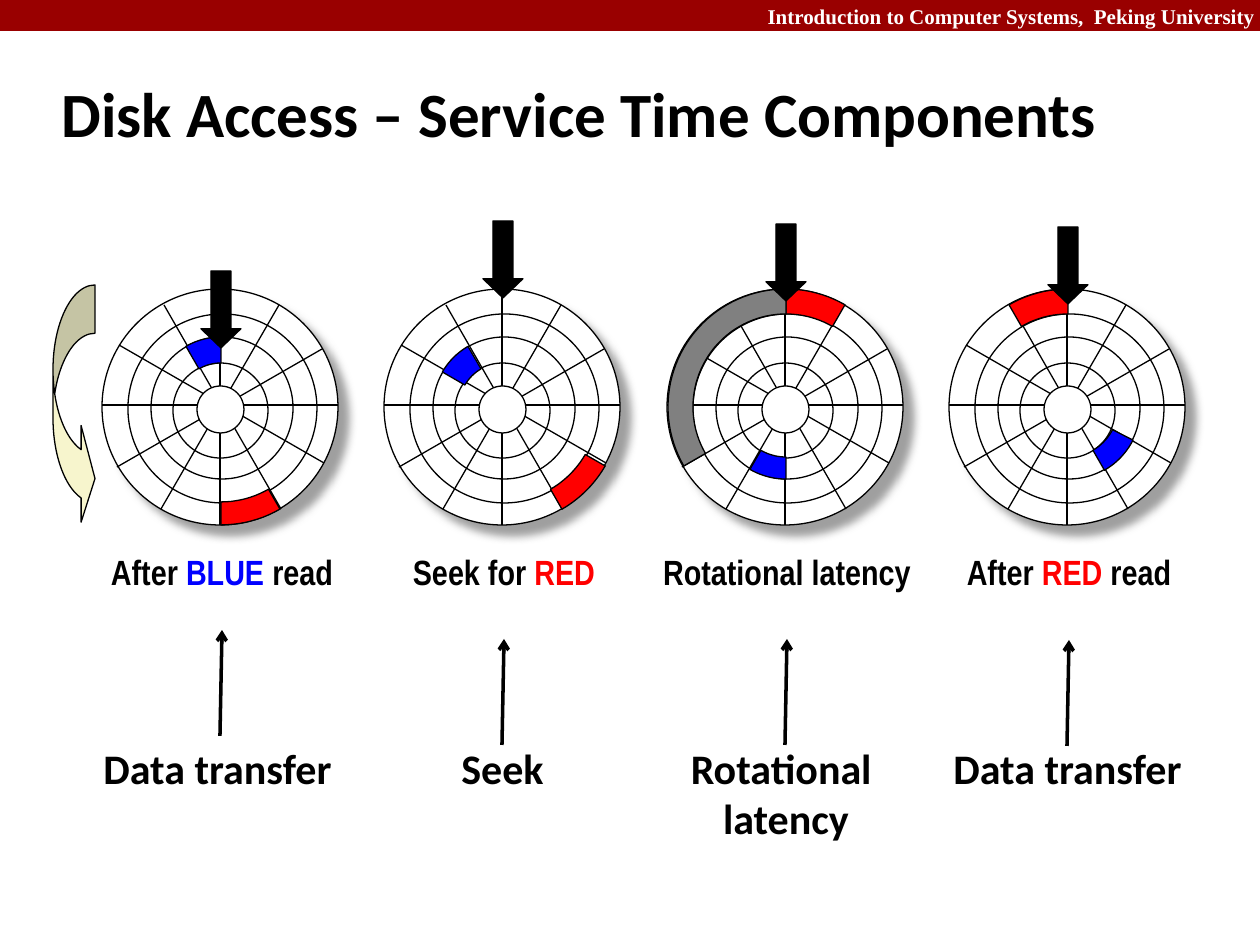
from dataclasses import dataclass
from math import cos, radians, sin

from lxml import etree
from pptx import Presentation
from pptx.dml.color import RGBColor
from pptx.enum.shapes import MSO_CONNECTOR, MSO_SHAPE
from pptx.enum.text import MSO_ANCHOR, PP_ALIGN
from pptx.oxml.ns import qn
from pptx.util import Emu, Pt

LEFT, MID, RIGHT = PP_ALIGN.LEFT, PP_ALIGN.CENTER, PP_ALIGN.RIGHT
TOP, HALF = MSO_ANCHOR.TOP, MSO_ANCHOR.MIDDLE
RECT, OVAL = MSO_SHAPE.RECTANGLE, MSO_SHAPE.OVAL
DOWN, CURVE = MSO_SHAPE.DOWN_ARROW, MSO_SHAPE.CURVED_RIGHT_ARROW
LINE = MSO_CONNECTOR.STRAIGHT

Box = tuple[int, int, int, int]
Spot = tuple[int, int]


@dataclass(frozen=True)
class Theme:
    black: str = "000000"
    white: str = "FFFFFF"
    bar: str = "990000"
    blue: str = "0000FF"
    red: str = "FF0000"
    gray: str = "808080"
    cream: str = "F7F5CD"
    body: str = "Calibri"
    narrow: str = "Arial Narrow"
    serif: str = "Times New Roman"
    small: int = 12
    label: int = 20
    phase: int = 24
    title: int = 36
    thin: float = 0.75
    thick: float = 2


THEME = Theme()


@dataclass(frozen=True)
class Wedge:
    start: int
    end: int
    inner: int
    outer: int
    color: str


@dataclass(frozen=True)
class Disk:
    left: int
    head: int
    wedges: tuple[Wedge, ...]
    label: str
    word: str
    tint: str
    width: int
    phase: str
    spot: Spot
    foot: int
    wrap: bool = False


SIZE, HUB, DISK_TOP = 236, 118, 289
RINGS = ((26, 25, 189), (49, 48, 142), (71, 74, 95))
CORE = (95, 97, 47)
SPOKES = (
    ((118, 0), (118, 236)),
    ((177, 16), (59, 220)),
    ((220, 60), (15, 178)),
    ((236, 116), (0, 116)),
    ((222, 174), (17, 56)),
    ((179, 220), (62, 16)),
)
DISKS = (
    Disk(102, 271, (Wedge(-30, 0, 44, 70, THEME.blue), Wedge(150, 180, 95, 118, THEME.red)),
         "After BLUE read", "BLUE", THEME.blue, 294, "Data transfer", (91, 256), 736),
    Disk(384, 221, (Wedge(120, 150, 95, 118, THEME.red), Wedge(-60, -30, 44, 70, THEME.blue)),
         "Seek for RED", "RED", THEME.red, 252, "Seek", (449, 108), 745),
    Disk(667, 224, (Wedge(0, 30, 93, 118, THEME.red), Wedge(180, 210, 50, 72, THEME.blue),
                    Wedge(240, 360, 93, 118, THEME.gray)),
         "Rotational latency", "", THEME.black, 336, "Rotational \nlatency", (672, 228), 745, True),
    Disk(949, 227, (Wedge(-30, 0, 93, 118, THEME.red), Wedge(117, 150, 50, 73, THEME.blue)),
         "After RED read", "RED", THEME.red, 294, "Data transfer", (941, 256), 746),
)


def px(count: float) -> Emu:
    return Emu(round(count * 914400 / 126))


def paint(shape, fill: str, edge: str | None = THEME.black) -> None:
    shape.shadow.inherit = False
    shape.fill.solid()
    shape.fill.fore_color.rgb = RGBColor.from_string(fill)
    if edge is None:
        shape.line.fill.background()
    else:
        shape.line.color.rgb = RGBColor.from_string(edge)
        shape.line.width = Pt(THEME.thin)


def draw(shapes, kind, box: Box, fill: str, edge: str | None = THEME.black,
         bends: tuple[float, ...] = ()):
    shape = shapes.add_shape(kind, *map(px, box))
    for place, bend in enumerate(bends):
        shape.adjustments[place] = bend
    paint(shape, fill, edge)
    return shape


def shade(shape) -> None:
    effects = shape.element.spPr.find(qn("a:effectLst"))
    outer = etree.SubElement(effects, qn("a:outerShdw"), blurRad=str(Pt(5)),
                             dist=str(Pt(8.5)), dir=str(45 * 60000), rotWithShape="0")
    color = etree.SubElement(outer, qn("a:srgbClr"), val=THEME.gray)
    etree.SubElement(color, qn("a:alpha"), val="75000")


def link(shapes, start: Spot, end: Spot, width: float = THEME.thin, tip: bool = False) -> None:
    line = shapes.add_connector(LINE, *map(px, (*start, *end)))
    line.line.color.rgb = RGBColor.from_string(THEME.black)
    line.line.width = Pt(width)
    props = line.element.spPr
    if tip:
        etree.SubElement(props.find(qn("a:ln")), qn("a:tailEnd"), type="arrow")
    etree.SubElement(props, qn("a:effectLst"))


def write(shapes, text: str, box: Box, *, font: str = THEME.body, size: int = THEME.phase,
          color: str = THEME.black, align=LEFT, anchor=TOP, wrap: bool = True,
          word: str = "", tint: str = THEME.black, pad: int | None = None) -> None:
    frame = shapes.add_textbox(*map(px, box)).text_frame
    frame.word_wrap = wrap
    frame.vertical_anchor = anchor
    if pad is not None:
        frame.margin_left = frame.margin_right = px(pad)
        frame.margin_top = frame.margin_bottom = px(0)
    for place, line in enumerate(text.split("\n")):
        para = frame.add_paragraph() if place else frame.paragraphs[0]
        para.alignment = align
        for part in filter(None, line.partition(word) if word else (line,)):
            run = para.add_run()
            run.text = part
            run.font.name = font
            run.font.size = Pt(size)
            run.font.bold = True
            run.font.color.rgb = RGBColor.from_string(tint if part == word else color)


def slice_disk(shapes, left: int, wedge: Wedge) -> None:
    def point(angle: int, reach: int) -> tuple[Emu, Emu]:
        turn = radians(angle)
        return (px(left + HUB + 1 + reach * sin(turn)),
                px(DISK_TOP + HUB - reach * cos(turn)))

    turns = range(wedge.start, wedge.end + 1, 3)
    points = [point(turn, wedge.outer) for turn in turns]
    points += [point(turn, wedge.inner) for turn in reversed(turns)]
    pen = shapes.build_freeform(*points[0])
    pen.add_line_segments(points[1:], close=True)
    paint(pen.convert_to_shape(), wedge.color)


def draw_disk(shapes, disk: Disk) -> None:
    def ring(x: int, y: int, size: int):
        return draw(shapes, OVAL, (disk.left + x, DISK_TOP + y, size, size), THEME.white)

    shade(ring(0, 0, SIZE))
    for place in RINGS:
        ring(*place)
    for ends in SPOKES:
        link(shapes, *((disk.left + x, DISK_TOP + y) for x, y in ends))
    ring(*CORE)
    for wedge in disk.wedges:
        slice_disk(shapes, disk.left, wedge)
    draw(shapes, DOWN, (disk.left + 99, disk.head, 40, 77), THEME.black, bends=(0.5, 0.48))


def main() -> None:
    deck = Presentation()
    deck.slide_width, deck.slide_height = px(1260), px(945)
    shapes = deck.slides.add_slide(deck.slide_layouts[6]).shapes
    draw(shapes, RECT, (0, 0, 1260, 31), THEME.bar, edge=None)
    write(shapes, "Introduction to Computer Systems,  Peking University", (740, 0, 520, 32),
          font=THEME.serif, size=THEME.small, color=THEME.white, align=RIGHT,
          anchor=HALF, pad=5)
    write(shapes, "Disk Access – Service Time Components", (49, 60, 1115, 105),
          size=THEME.title, anchor=HALF)
    for disk in DISKS:
        hub = disk.left + HUB
        draw_disk(shapes.add_group_shape().shapes, disk)
        write(shapes, disk.label, (hub + 2 - disk.width // 2, 544, disk.width, 54),
              font=THEME.narrow, size=THEME.label, align=MID, word=disk.word, tint=disk.tint)
        left, width = disk.spot
        write(shapes, disk.phase, (left, 736, width, 63), wrap=disk.wrap,
              align=MID if disk.wrap else LEFT)
        link(shapes, (hub, disk.foot), (hub + 2, disk.foot - 106), THEME.thick, tip=True)
    draw(shapes, CURVE, (53, 285, 42, 242), THEME.cream, bends=(1.15, 2.3, 0.33))
    deck.save("out.pptx")


if __name__ == "__main__":
    main()
